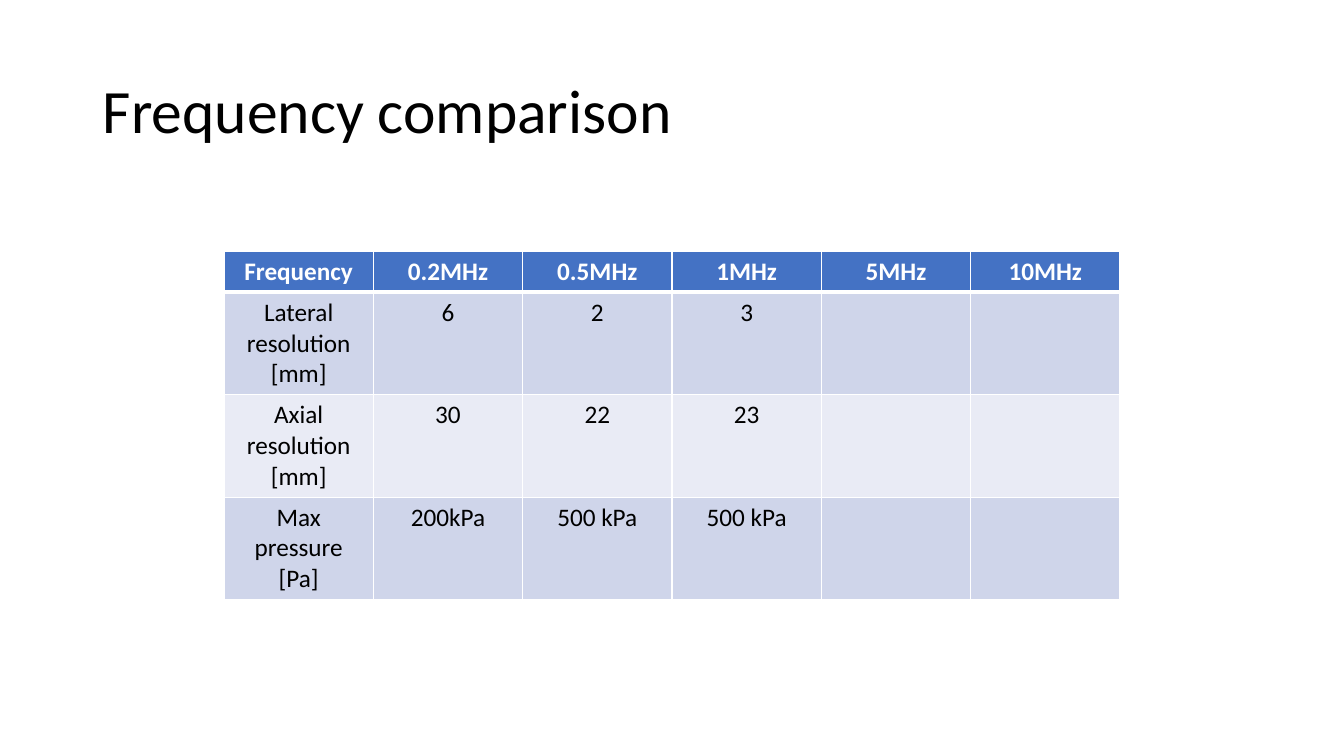
import pptx
import pptx.dml.color
import pptx.enum.text
import pptx.oxml
import pptx.oxml.ns
import pptx.util

Inches = pptx.util.Inches
Pt = pptx.util.Pt
RGBColor = pptx.dml.color.RGBColor
Align = pptx.enum.text.PP_ALIGN
Anchor = pptx.enum.text.MSO_ANCHOR

TITLE = "Frequency comparison"
ROWS = [
    ("Frequency", "0.2MHz", "0.5MHz", "1MHz", "5MHz", "10MHz"),
    ("Lateral resolution [mm]", "6", "2", "3", "", ""),
    ("Axial resolution [mm]", "30", "22", "23", "", ""),
    ("Max pressure [Pa]", "200kPa", "500 kPa", "500 kPa", "", ""),
]

BLACK = RGBColor(0x00, 0x00, 0x00)
WHITE = RGBColor(0xFF, 0xFF, 0xFF)
HEADER_BLUE = RGBColor(0x44, 0x72, 0xC4)
BANDS = [RGBColor(0xE9, 0xEB, 0xF5), RGBColor(0xCF, 0xD5, 0xEA)]

WIDTH, HEIGHT = 13.33, 7.5
TABLE_WIDTH = WIDTH * 2 / 3
TABLE_LEFT = (WIDTH - TABLE_WIDTH) / 2
TABLE_TOP = 2.49
HEADER_HEIGHT, BODY_HEIGHT = 0.41, 1.0
TABLE_HEIGHT = HEADER_HEIGHT + BODY_HEIGHT * (len(ROWS) - 1)

TITLE_BOX = {"left": Inches(0.92), "top": Inches(0.4), "width": Inches(11.5), "height": Inches(1.45)}
TITLE_FRAME = {"vertical_anchor": Anchor.MIDDLE, "word_wrap": True,
               "auto_size": pptx.enum.text.MSO_AUTO_SIZE.NONE}
TITLE_PARAGRAPH = {"alignment": Align.LEFT, "line_spacing": 0.9}
TITLE_FONT = {"name": "Calibri", "size": Pt(44), "bold": False}
CELL_FONT = {"name": "Calibri", "size": Pt(18)}


def set_attributes(target, values):
    for name, value in values.items():
        setattr(target, name, value)


def write_text(paragraph, text, paragraph_format, font_format, color):
    set_attributes(paragraph, paragraph_format)
    set_attributes(paragraph.font, font_format)
    paragraph.font.color.rgb = color
    if text:
        run = paragraph.add_run()
        run.text = text
        set_attributes(run.font, font_format)
        run.font.color.rgb = color


def add_borders(cell, widths):
    properties = cell._tc.get_or_add_tcPr()
    for side, points in widths.items():
        properties.append(pptx.oxml.parse_xml(
            f'<a:ln{side} {pptx.oxml.ns.nsdecls("a")} w="{Pt(points)}">'
            f'<a:solidFill><a:srgbClr val="{WHITE}"/></a:solidFill></a:ln{side}>'))


presentation = pptx.Presentation()
set_attributes(presentation, {"slide_width": Inches(WIDTH), "slide_height": Inches(HEIGHT)})
slide = presentation.slides.add_slide(presentation.slide_layouts.get_by_name("Title Only"))

title = slide.shapes.title
set_attributes(title, TITLE_BOX)
set_attributes(title.text_frame, TITLE_FRAME)
write_text(title.text_frame.paragraphs[0], TITLE, TITLE_PARAGRAPH, TITLE_FONT, BLACK)

table = slide.shapes.add_table(
    len(ROWS), len(ROWS[0]), Inches(TABLE_LEFT), Inches(TABLE_TOP),
    Inches(TABLE_WIDTH), Inches(TABLE_HEIGHT)).table

for row_index, values in enumerate(ROWS):
    header = row_index == 0
    table.rows[row_index].height = Inches(HEADER_HEIGHT if header else BODY_HEIGHT)
    for column_index, value in enumerate(values):
        cell = table.cell(row_index, column_index)
        add_borders(cell, {"L": 1, "R": 1, "T": 3 if row_index == 1 else 1, "B": 3 if header else 1})
        cell.fill.solid()
        cell.fill.fore_color.rgb = HEADER_BLUE if header else BANDS[row_index % 2]
        write_text(cell.text_frame.paragraphs[0], value, {"alignment": Align.CENTER},
                   {**CELL_FONT, "bold": header}, WHITE if header else BLACK)

presentation.save("out.pptx")
